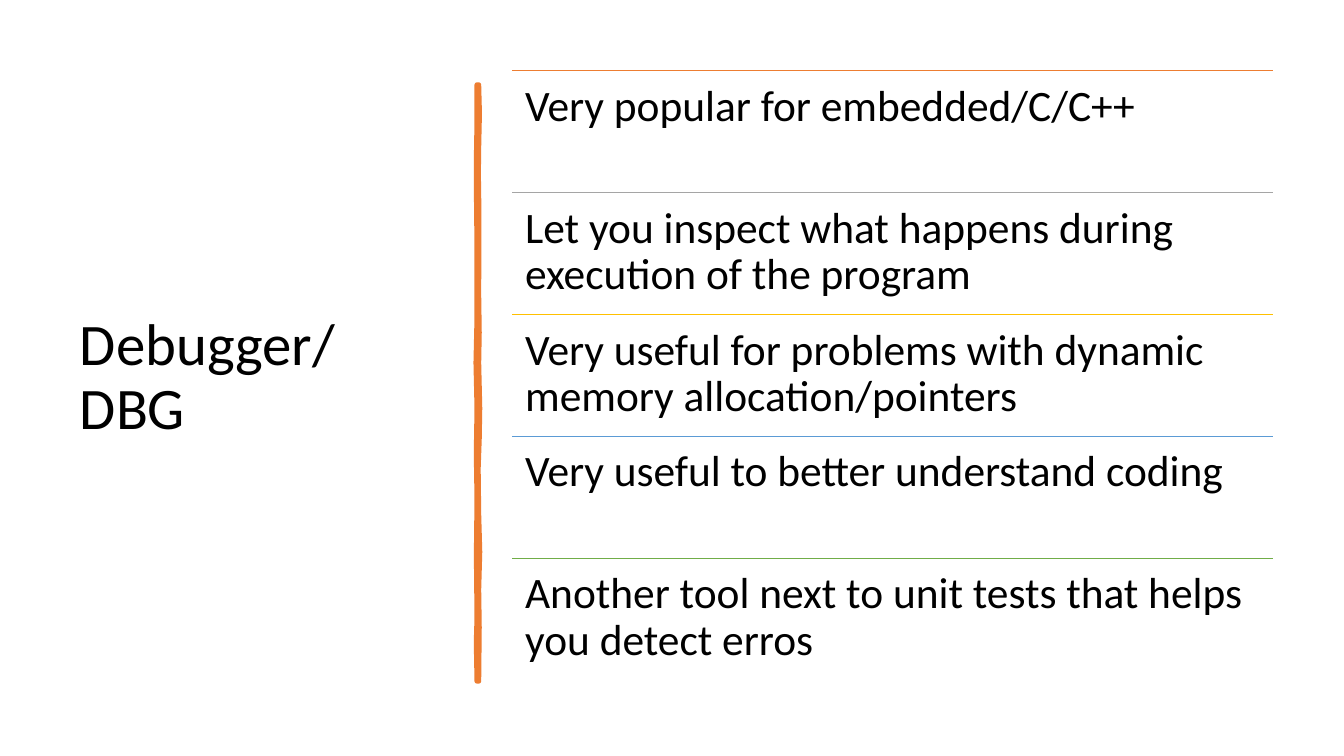
from lxml import etree
from pptx import Presentation
from pptx.dml.color import RGBColor
from pptx.enum.shapes import MSO_CONNECTOR
from pptx.enum.text import MSO_ANCHOR
from pptx.oxml.ns import qn
from pptx.util import Inches, Pt

STRAIGHT = MSO_CONNECTOR.STRAIGHT
TOP, MIDDLE = MSO_ANCHOR.TOP, MSO_ANCHOR.MIDDLE

FONT = "Calibri"
BLACK = "000000"
ORANGE = "ED7D31"


def color(hex_value):
    return RGBColor.from_string(hex_value)


class SlideStyle:
    def __init__(self, deck):
        self.width, self.height = deck.slide_width, deck.slide_height
        self.slide = deck.slides.add_slide(deck.slide_layouts[6])

    def x(self, percent):
        return round(self.width * percent / 100)

    def y(self, percent):
        return round(self.height * percent / 100)

    def text(self, wording, left, top, width, height, size, anchor, **insets):
        box = self.slide.shapes.add_textbox(
            self.x(left), self.y(top), self.x(width), self.y(height))
        frame = box.text_frame
        frame_format = {"word_wrap": True, "vertical_anchor": anchor, **insets}
        for key, value in frame_format.items():
            setattr(frame, key, value)
        paragraph = frame.paragraphs[0]
        paragraph.line_spacing = 0.9
        run = paragraph.add_run()
        run.text = wording
        for key, value in {"name": FONT, "size": Pt(size)}.items():
            setattr(run.font, key, value)
        run.font.color.rgb = color(BLACK)

    def rule(self, left, right, height, hue):
        line = self.slide.shapes.add_connector(
            STRAIGHT, self.x(left), self.y(height), self.x(right), self.y(height))
        line.line.color.rgb = color(hue)
        line.line.width = Pt(1)
        etree.SubElement(line._element.spPr, qn("a:effectLst"))

    def brush_stroke(self, outline, hue):
        points = [(self.x(across), self.y(down)) for across, down in outline]
        builder = self.slide.shapes.build_freeform(*points[0], scale=1.0)
        builder.add_line_segments(points[1:], close=True)
        stroke = builder.convert_to_shape()
        stroke.shadow.inherit = False
        stroke.fill.solid()
        stroke.fill.fore_color.rgb = color(hue)
        stroke.line.color.rgb = color(hue)
        stroke.line.width = Pt(3.25)
        etree.SubElement(stroke.line._get_or_add_ln(), qn("a:round"))


deck = Presentation()
deck.slide_width, deck.slide_height = Inches(13.33), Inches(7.5)
page = SlideStyle(deck)

page.text("Debugger/DBG", 5.2, 9.33, 28.05, 81.47, 42, MIDDLE)

STROKE_CENTER, WOBBLE = 35.56, 0.08
RIGHT_EDGE = [(11.2, 1), (15, 1.7), (19.5, 1), (23, 0.7), (28, 1.2), (39, 1),
              (44, 1.5), (48, 1), (54, 2), (58, 1.5), (62, 0.5), (68, 1),
              (73, 2), (78, 1), (83, 1.5), (90.13, 1)]
LEFT_EDGE = [(90.13, -1), (85, -1.7), (81.7, -1), (75, -1.5), (72, -1.5),
             (66, -1), (60, -1.7), (54, -1), (48, -2), (42, -1), (33, -1),
             (24, -1.7), (20, -1.5), (16, -1), (11.2, -1)]
page.brush_stroke([(STROKE_CENTER + shift * WOBBLE, down)
                   for down, shift in RIGHT_EDGE + LEFT_EDGE], ORANGE)

LIST_LEFT, LIST_WIDTH = 38.1, 56.65
LIST_TOP, ROW = 9.33, 16.13
INSETS = {f"margin_{side}": Inches(0.13)
          for side in ("left", "top", "right", "bottom")}
REASONS = [
    ("Very popular for embedded/C/C++", ORANGE),
    ("Let you inspect what happens during execution of the program", "A5A5A5"),
    ("Very useful for problems with dynamic memory allocation/pointers", "FFC000"),
    ("Very useful to better understand coding", "5B9BD5"),
    ("Another tool next to unit tests that helps you detect erros", "70AD47"),
]
for index, (reason, hue) in enumerate(REASONS):
    row_top = LIST_TOP + index * ROW
    page.rule(LIST_LEFT, LIST_LEFT + LIST_WIDTH, row_top, hue)
    page.text(reason, LIST_LEFT, row_top, LIST_WIDTH, ROW, 31, TOP, **INSETS)

deck.save("out.pptx")
